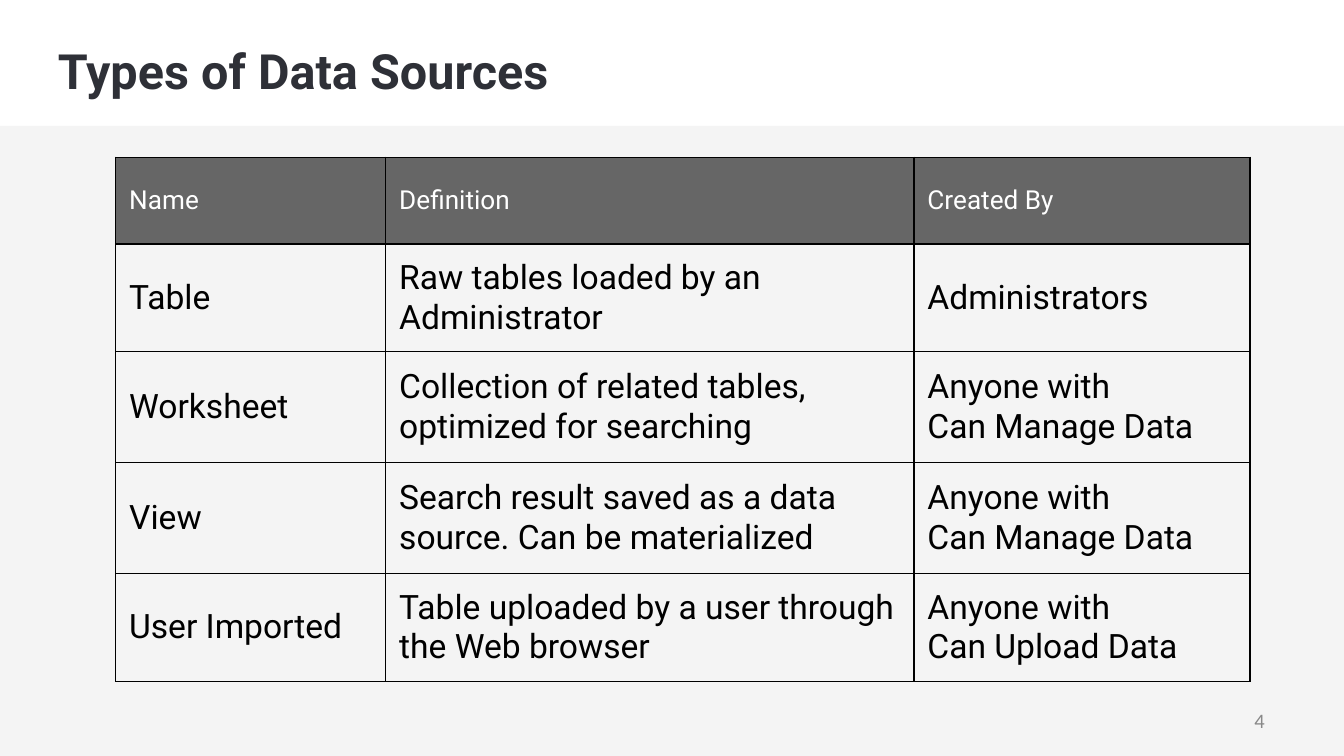
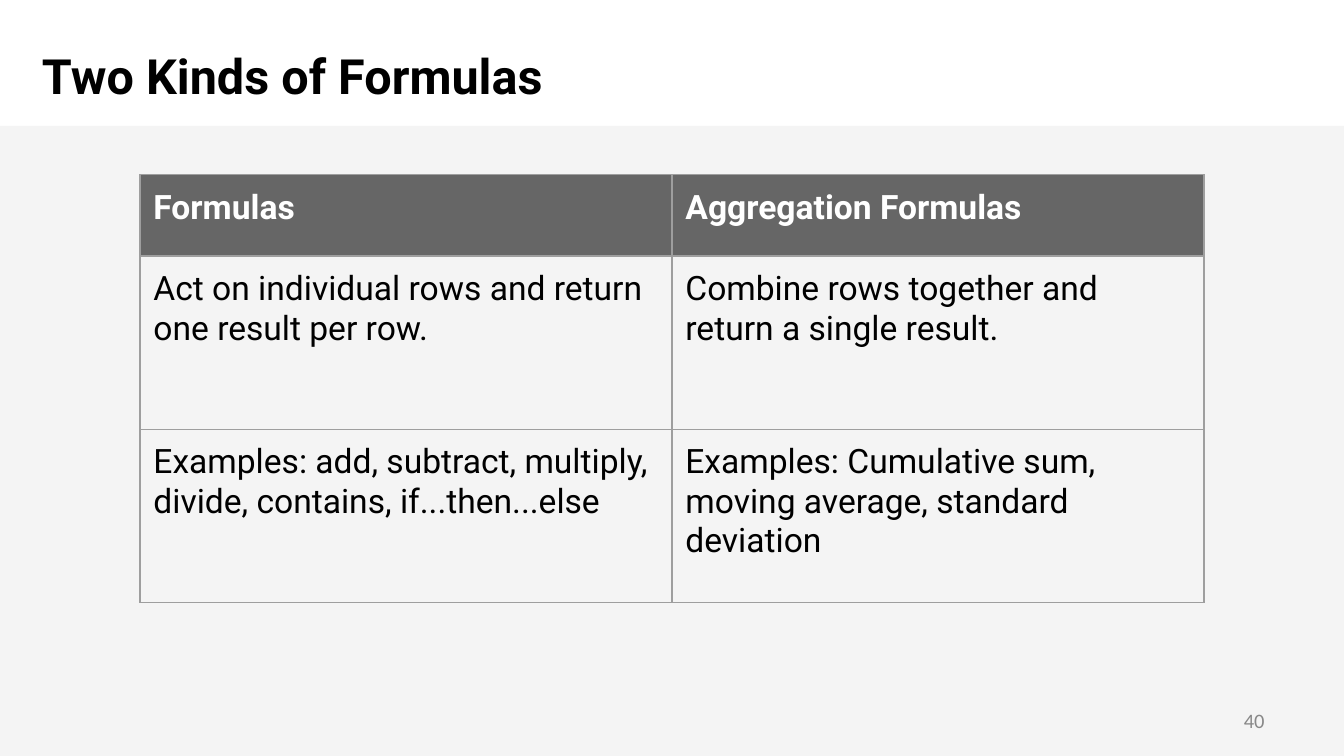
from dataclasses import dataclass

from lxml.etree import SubElement
from pptx import Presentation
from pptx.dml.color import RGBColor
from pptx.enum.shapes import MSO_SHAPE
from pptx.enum.text import MSO_ANCHOR, PP_ALIGN
from pptx.oxml.ns import qn
from pptx.util import Pt


@dataclass(frozen=True)
class Theme:
    """Colours, fonts and type sizes of the deck."""
    font: str = "Roboto"
    plain: str = "Calibri"
    black: str = "000000"
    white: str = "FFFFFF"
    slate: str = "2E3037"
    head: str = "666666"
    rule: str = "9E9E9E"
    note: str = "888888"
    band: str = "D5D5D5"
    alpha: int = 24
    title: int = 26
    body: int = 18
    label: int = 14
    small: int = 11


THEME = Theme()
WIDE, HIGH = 720, 405
BAND = (0, 67.5, WIDE, 337.5)
PAGE = (516.24, 375.12, 167.76, 21.6)
SIDES = ("a:lnL", "a:lnR", "a:lnT", "a:lnB")


def style(para, size, color, bold=False, font=THEME.font):
    """Format every run of a paragraph."""
    for run in para.runs:
        run.font.name = font
        run.font.size = Pt(size)
        run.font.bold = bold
        run.font.color.rgb = RGBColor.from_string(color)


def inset(item, side, edge):
    """Set the inner margins of a cell or text frame."""
    item.margin_left = item.margin_right = Pt(side)
    item.margin_top = item.margin_bottom = Pt(edge)


def write(slide, box, text, pad):
    """Add a text box centred in height and return its paragraph."""
    frame = slide.shapes.add_textbox(*map(Pt, box)).text_frame
    frame.word_wrap = True
    frame.vertical_anchor = MSO_ANCHOR.MIDDLE
    inset(frame, *pad)
    frame.text = text
    return frame.paragraphs[0]


def add_band(slide, box):
    """Draw the pale band behind the content."""
    band = slide.shapes.add_shape(MSO_SHAPE.RECTANGLE, *map(Pt, box))
    band.shadow.inherit = False
    band.line.fill.background()
    band.fill.solid()
    band.fill.fore_color.rgb = RGBColor.from_string(THEME.band)
    tint = band.fill._xPr.find(".//" + qn("a:srgbClr"))
    SubElement(tint, qn("a:alpha")).set("val", str(THEME.alpha * 1000))


def add_title(slide, box, text, color, edge):
    """Write the slide title."""
    para = write(slide, box, text, (7.2, edge))
    style(para, THEME.title, color, True)


def add_page(slide, box, page):
    """Write the page number at the right."""
    para = write(slide, box, str(page), (6.5, 3))
    para.alignment = PP_ALIGN.RIGHT
    style(para, THEME.small, THEME.note, font=THEME.plain)


def edge_cell(cell, color):
    """Rule all four sides of a cell."""
    props = cell._tc.get_or_add_tcPr()
    for side in SIDES:
        line = SubElement(props, qn(side), w=str(Pt(0.75)))
        fill = SubElement(line, qn("a:solidFill"))
        SubElement(fill, qn("a:srgbClr"), val=color)


def add_grid(slide, box, cols, rows, data, rule, anchor, size, bold):
    """Build a ruled table with a dark header row."""
    shape = slide.shapes.add_table(len(rows), len(cols), *map(Pt, box))
    grid = shape.table
    grid.horz_banding = False
    for col, width in zip(grid.columns, cols):
        col.width = Pt(width)
    for row, height in zip(grid.rows, rows):
        row.height = Pt(height)
    for r, line in enumerate(data):
        for c, text in enumerate(line):
            cell = grid.cell(r, c)
            edge_cell(cell, rule)
            inset(cell, 7.2, 7.2)
            cell.vertical_anchor = anchor
            para = cell.text_frame.paragraphs[0]
            para.text = text
            if r == 0:
                cell.fill.solid()
                cell.fill.fore_color.rgb = RGBColor.from_string(THEME.head)
                style(para, size, THEME.white, bold)
            else:
                cell.fill.background()
                style(para, THEME.body, THEME.black)


def start(deck, page):
    """Add a slide with the shared band and page number."""
    slide = deck.slides.add_slide(deck.slide_layouts[6])
    add_band(slide, BAND)
    add_page(slide, PAGE, page)
    return slide


def source_slide(deck):
    """Build the slide on types of data sources."""
    slide = start(deck, 4)
    add_title(slide, (24, 4, 684, 67.5), "Types of Data Sources",
              THEME.slate, 3.6)
    data = [
        ("Name", "Definition", "Created By"),
        ("Table", "Raw tables loaded by an Administrator", "Administrators"),
        ("Worksheet", "Collection of related tables, optimized for searching",
         "Anyone with\nCan Manage Data"),
        ("View", "Search result saved as a data source. Can be materialized",
         "Anyone with\nCan Manage Data"),
        ("User Imported", "Table uploaded by a user through the Web browser",
         "Anyone with\nCan Upload Data"),
    ]
    add_grid(slide, (62, 84.2, 607.7, 280.8), (144.7, 283, 180),
             (46.6, 53.3, 59.5, 59.5, 53.3), data, THEME.black,
             MSO_ANCHOR.MIDDLE, THEME.label, False)


def formula_slide(deck):
    """Build the slide on two kinds of formulas."""
    slide = start(deck, 40)
    add_title(slide, (15.4, 21.6, 669, 37.4), "Two Kinds of Formulas",
              THEME.black, 7.2)
    data = [
        ("Formulas", "Aggregation Formulas"),
        ("Act on individual rows and return one result per row.",
         "Combine rows together and return a single result."),
        ("Examples: add, subtract, multiply, divide, contains, "
         "if...then...else",
         "Examples: Cumulative sum, moving average, standard deviation"),
    ]
    add_grid(slide, (75, 93.6, 570, 229), (285, 285), (43.6, 92.7, 92.7),
             data, THEME.rule, MSO_ANCHOR.TOP, THEME.body, True)


def main():
    """Build and save the deck."""
    deck = Presentation()
    deck.slide_width, deck.slide_height = Pt(WIDE), Pt(HIGH)
    source_slide(deck)
    formula_slide(deck)
    deck.save("out.pptx")


if __name__ == "__main__":
    main()
